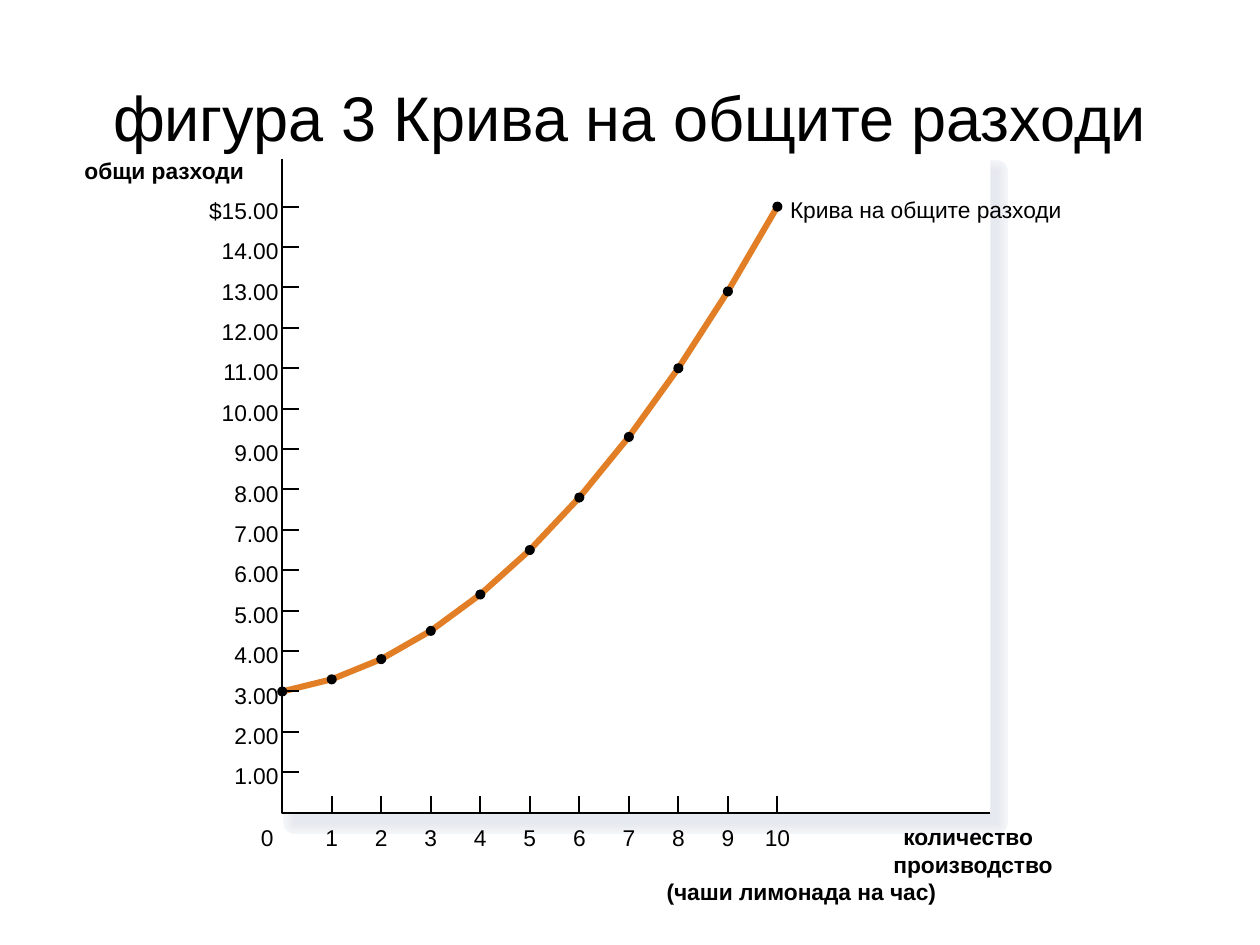
from lxml import etree
from pptx import Presentation, util as u
from pptx.dml.color import RGBColor
from pptx.enum import shapes, text
from pptx.oxml.ns import qn

# Content
TITLE = "фигура 3 Крива на общите разходи"
CURVE_NAME = "Крива на общите разходи"
Y_TITLE = "общи разходи"
X_TITLES = [  # text, left, width
    ("количество", 7.17, 1.04),
    ("производство", 7.09, 1.28),
    ("(чаши лимонада на час)", 5.29, 2.24),
]
COSTS = [3.0, 3.3, 3.8, 4.5, 5.4, 6.5, 7.8, 9.3, 11.0, 12.9, 15.0]
MAX_COST = 15

THEME = {
    "font": "Arial", "title": 36, "label": 13,
    "ink": "000000", "paper": "FFFFFF", "curve": "E17E26",
    "axis_pt": 1.13, "curve_pt": 3.5,
    # Soft shadow, outermost layer first: colour, line width
    "shadow": [("F3F6F9", 13), ("F2F4F8", 11.75), ("F1F4F7", 10.63),
               ("F0F2F5", 9.38), ("EEF1F4", 8.25), ("EDEFF3", 7),
               ("EBEEF2", 5.88), ("EAECF1", 4.75), ("E9EBF0", 3.5),
               ("E7EAEF", 2.38), ("E6E9EF", 1.13)],
}

# Plot geometry in inches
LEFT, TOP, RIGHT, BASE = 2.24, 1.26, 7.86, 6.45
X_STEP = 3.93 / 10
Y_STEP = 4.81 / MAX_COST
TICK, DOT, ROW = 0.13, 0.08, 0.22

prs = Presentation()
prs.slide_width, prs.slide_height = u.Inches(10), u.Inches(7.5)
s = prs.slides.add_slide(prs.slide_layouts[6])


def x_at(quantity):
    return LEFT + quantity * X_STEP


def y_at(cost):
    return BASE - cost * Y_STEP


def rgb(name):
    return RGBColor.from_string(THEME.get(name, name))


def add_shape(parent, kind, x, y, w, h, fill, line_pt=None):
    sp = parent.add_shape(kind, *map(u.Inches, (x, y, w, h)))
    sp.shadow.inherit = False
    sp.fill.solid()
    sp.fill.fore_color.rgb = rgb(fill)
    if line_pt:
        sp.line.color.rgb = rgb(fill)
        sp.line.width = u.Pt(line_pt)
    else:
        sp.line.fill.background()


def add_path(points, color, width):
    pts = [(u.Inches(x), u.Inches(y)) for x, y in points]
    builder = s.shapes.build_freeform(*pts[0])
    builder.add_line_segments(pts[1:], close=False)
    sp = builder.convert_to_shape()
    sp.shadow.inherit = False
    sp.fill.background()
    sp.line.color.rgb = rgb(color)
    sp.line.width = u.Pt(width)


def add_tick(x1, y1, x2, y2):
    c = s.shapes.add_connector(shapes.MSO_CONNECTOR.STRAIGHT,
                               *map(u.Inches, (x1, y1, x2, y2)))
    c.line.color.rgb = rgb("ink")
    c.line.width = u.Pt(THEME["axis_pt"])
    etree.SubElement(c._element.spPr, qn("a:effectLst"))


def add_text(words, x, y, w, h=ROW, size="label", bold=False,
             align=text.PP_ALIGN.LEFT, wrap=False):
    tf = s.shapes.add_textbox(*map(u.Inches, (x, y, w, h))).text_frame
    tf.margin_left = tf.margin_right = tf.margin_top = tf.margin_bottom = 0
    tf.word_wrap = wrap
    tf.text = words
    p = tf.paragraphs[0]
    p.alignment = align
    f = p.runs[0].font
    f.name, f.size, f.bold = THEME["font"], u.Pt(THEME[size]), bold
    f.color.rgb = rgb("ink")
    return tf


# Title
tf = add_text(TITLE, 0.5, 0.3, 9, 1.25, "title",
              align=text.PP_ALIGN.CENTER, wrap=True)
tf.vertical_anchor = text.MSO_ANCHOR.MIDDLE

# Layered shadow and plot area
RECT = shapes.MSO_SHAPE.RECTANGLE
for color, width in THEME["shadow"]:
    add_shape(s.shapes, RECT, LEFT + 0.1, TOP + 0.1, 5.57, 5.17, color, width)
add_shape(s.shapes, RECT, LEFT, TOP, RIGHT - LEFT, BASE - TOP, "paper")

# Curve, ticks and axes
points = [(x_at(q), y_at(cost)) for q, cost in enumerate(COSTS)]
add_path(points, "curve", THEME["curve_pt"])
for cost in range(MAX_COST, 0, -1):
    add_tick(LEFT, y_at(cost), LEFT + TICK, y_at(cost))
for q in range(1, len(COSTS)):
    add_tick(x_at(q), BASE - TICK, x_at(q), BASE)
add_path([(LEFT, TOP), (LEFT, BASE), (RIGHT, BASE)], "ink", THEME["axis_pt"])

# Data points
dots = s.shapes.add_group_shape().shapes
for x, y in points:
    add_shape(dots, shapes.MSO_SHAPE.OVAL, x - DOT / 2, y - DOT / 2,
              DOT, DOT, "ink")

# Cost labels
add_text(Y_TITLE, 0.67, 1.24, 1.31, bold=True)
for cost in range(MAX_COST, 0, -1):
    sign = "$" if cost == MAX_COST else ""
    add_text(f"{sign}{cost}.00", 1.61, y_at(cost) - 0.08, 0.6,
             align=text.PP_ALIGN.RIGHT, wrap=True)

# Quantity labels; zero sits left of the axis
for q in range(len(COSTS)):
    center = x_at(q) if q else LEFT - 0.12
    add_text(str(q), center - 0.15, 6.54, 0.3,
             align=text.PP_ALIGN.CENTER, wrap=True)
for row, (words, x, w) in enumerate(X_TITLES):
    add_text(words, x, 6.53 + row * ROW, w, bold=True)

# Curve label
add_text(CURVE_NAME, 6.27, 1.55, 2.18)

prs.save("out.pptx")
